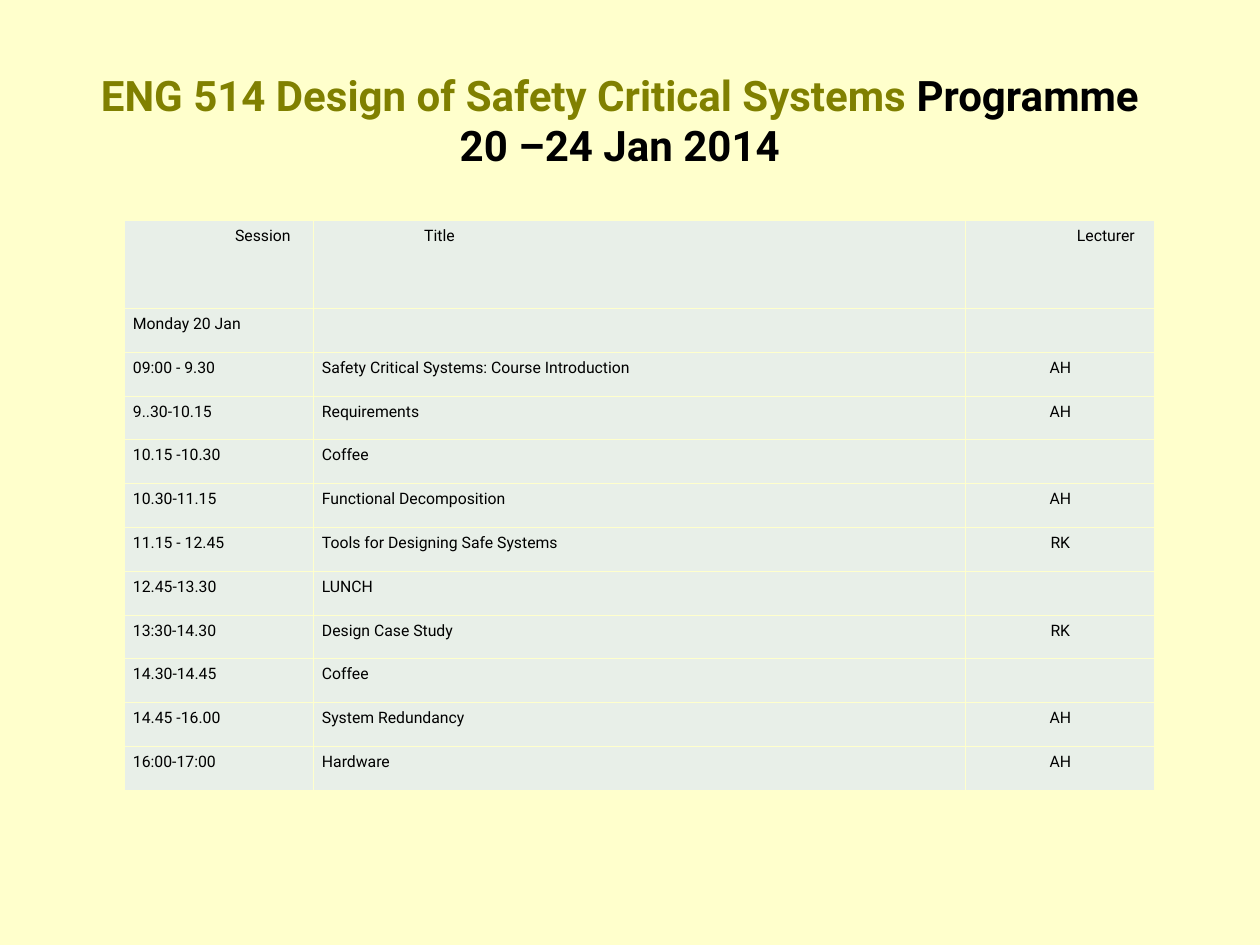
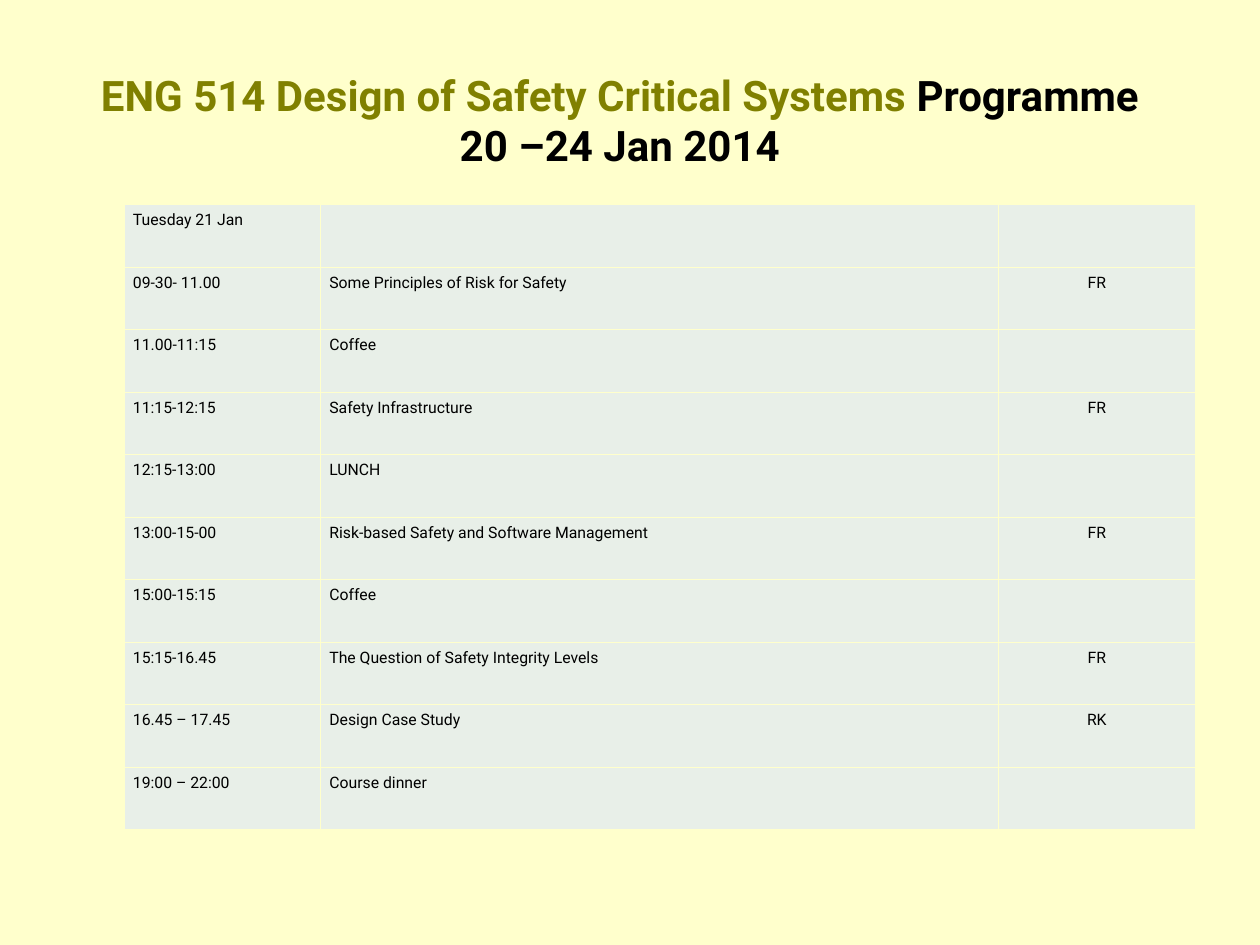
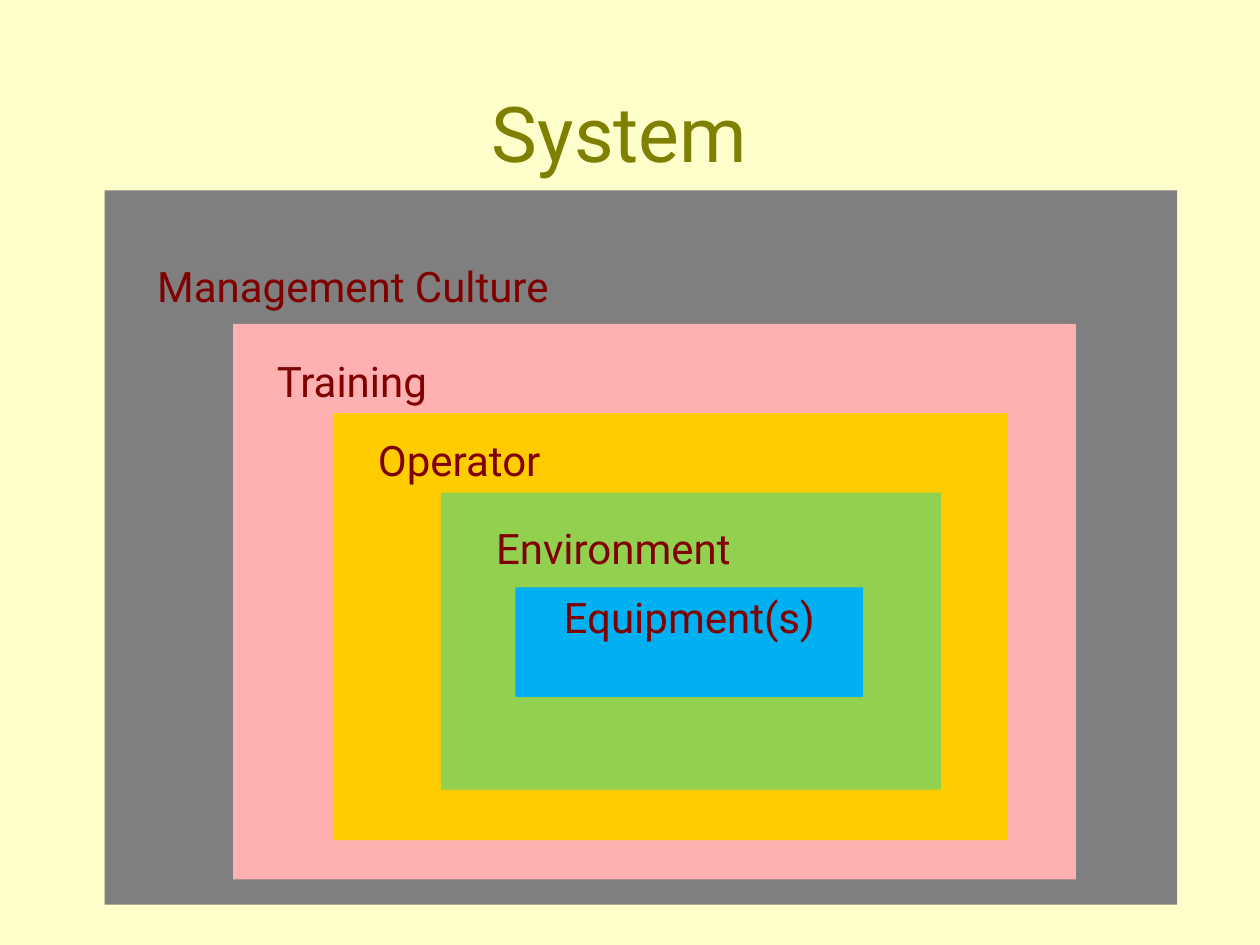
from lxml.etree import SubElement
from pptx import Presentation
from pptx.dml.color import RGBColor
from pptx.enum.shapes import MSO_SHAPE
from pptx.enum.text import MSO_ANCHOR, PP_ALIGN
from pptx.oxml.ns import qn
from pptx.util import Cm, Pt

FONT = "Roboto"
CREAM = RGBColor(0xFF, 0xFF, 0xCC)
OLIVE = RGBColor(0x80, 0x80, 0x00)
BLACK = RGBColor(0x00, 0x00, 0x00)
MAROON = RGBColor(0x80, 0x00, 0x00)
CELL_FILL = RGBColor(0xE8, 0xEF, 0xE8)
GRAY = RGBColor(0x7F, 0x7F, 0x7F)
PINK = RGBColor(0xFF, 0xB0, 0xB0)
GOLD = RGBColor(0xFF, 0xCC, 0x00)
GREEN = RGBColor(0x92, 0xD0, 0x50)
BLUE = RGBColor(0x00, 0xB0, 0xF0)

PROGRAMME_TITLE = [
    ("ENG 514 Design of Safety Critical Systems ", OLIVE),
    ("Programme 20 –24 Jan 2014", BLACK),
]

MONDAY = [
    ("Session", "Title", "Lecturer"),
    ("Monday 20 Jan", "", ""),
    ("09:00 - 9.30", "Safety Critical Systems: Course Introduction", "AH"),
    ("9..30-10.15", "Requirements", "AH"),
    ("10.15 -10.30", "Coffee", ""),
    ("10.30-11.15", "Functional Decomposition", "AH"),
    ("11.15 - 12.45", "Tools for Designing Safe Systems", "RK"),
    ("12.45-13.30", "LUNCH", ""),
    ("13:30-14.30", "Design Case Study", "RK"),
    ("14.30-14.45", "Coffee", ""),
    ("14.45 -16.00", "System Redundancy", "AH"),
    ("16:00-17:00", "Hardware", "AH"),
]

TUESDAY = [
    ("Tuesday 21 Jan", "", ""),
    ("09-30- 11.00", "Some Principles of Risk for Safety", "FR"),
    ("11.00-11:15", "Coffee", ""),
    ("11:15-12:15", "Safety Infrastructure", "FR"),
    ("12:15-13:00", "LUNCH", ""),
    ("13:00-15-00", "Risk-based Safety and Software Management", "FR"),
    ("15:00-15:15", "Coffee", ""),
    ("15:15-16.45", "The Question of Safety Integrity Levels", "FR"),
    ("16.45 – 17.45", "Design Case Study", "RK"),
    ("19:00 – 22:00", "Course dinner", ""),
]

SYSTEM_LAYERS = [
    (GRAY, (2.11, 3.84, 21.62, 14.4)),
    (PINK, (4.7, 6.53, 16.99, 11.2)),
    (GOLD, (6.71, 8.33, 13.61, 8.61)),
    (GREEN, (8.89, 9.93, 10.08, 5.99)),
    (BLUE, (10.39, 11.84, 7.01, 2.21)),
]
LAYER_LABELS = [
    ("Environment", 9.75, 10.41, 8.28),
    ("Operator", 7.37, 8.64, 6.6),
    ("Training", 5.33, 7.04, 8.33),
    ("Management Culture", 2.92, 5.13, 11.38),
]
LABEL_HEIGHT = 1.27


def style_paragraph(paragraph, size, color=None, bold=False, align=PP_ALIGN.LEFT):
    paragraph.alignment = align
    paragraph.font.name = FONT
    paragraph.font.size = Pt(size)
    paragraph.font.bold = bold
    if color is not None:
        paragraph.font.color.rgb = color


def add_slide(presentation, title_runs, top, size, bold, anchor):
    slide = presentation.slides.add_slide(presentation.slide_layouts[6])
    slide.background.fill.solid()
    slide.background.fill.fore_color.rgb = CREAM
    title = slide.shapes.add_textbox(Cm(1.7), Cm(top), Cm(21.59), Cm(3.18))
    title.text_frame.word_wrap = True
    title.text_frame.vertical_anchor = anchor
    paragraph = title.text_frame.paragraphs[0]
    style_paragraph(paragraph, size, bold=bold, align=PP_ALIGN.CENTER)
    for text, color in title_runs:
        run = paragraph.add_run()
        run.text = text
        run.font.color.rgb = color
    return slide


def style_cell(cell):
    properties = cell._tc.get_or_add_tcPr()
    for side in ("a:lnL", "a:lnR", "a:lnT", "a:lnB"):
        line = SubElement(properties, qn(side), w=str(Pt(0.45)))
        fill = SubElement(line, qn("a:solidFill"))
        SubElement(fill, qn("a:srgbClr"), val=str(CREAM))
    cell.fill.solid()
    cell.fill.fore_color.rgb = CELL_FILL
    cell.margin_left = cell.margin_right = Cm(0.18)
    cell.margin_top = cell.margin_bottom = Cm(0.13)


def add_programme(presentation, sessions, top, height, column_widths, has_header=False):
    slide = add_slide(presentation, PROGRAMME_TITLE, 1.27, 24, True, MSO_ANCHOR.TOP)
    frame = slide.shapes.add_table(
        len(sessions), len(column_widths), Cm(2.5), Cm(top),
        Cm(sum(column_widths)), Cm(height))
    table = frame.table
    table.first_row = table.horz_banding = False
    for column, width in zip(table.columns, column_widths):
        column.width = Cm(width)
    unit = height / (len(sessions) + has_header)
    for row_index, session in enumerate(sessions):
        is_header = has_header and row_index == 0
        table.rows[row_index].height = Cm(unit * (2 if is_header else 1))
        for column_index, text in enumerate(session):
            cell = table.cell(row_index, column_index)
            style_cell(cell)
            cell.text = text
            paragraph = cell.text_frame.paragraphs[0]
            is_lecturer = column_index == 2 and not is_header
            style_paragraph(paragraph, 9, BLACK,
                            align=PP_ALIGN.CENTER if is_lecturer else PP_ALIGN.LEFT)
            if is_header:
                paragraph._p.get_or_add_pPr().set("marL", str(Cm(2.06)))
            if not text:
                paragraph._p.get_or_add_endParaRPr().set("sz", "900")


def add_system(presentation):
    slide = add_slide(presentation, [("System", OLIVE)], 1.07, 44, False, MSO_ANCHOR.MIDDLE)
    for color, box in SYSTEM_LAYERS:
        layer = slide.shapes.add_shape(MSO_SHAPE.RECTANGLE, *map(Cm, box))
        layer.shadow.inherit = False
        layer.fill.solid()
        layer.fill.fore_color.rgb = color
        layer.line.fill.background()
    equipment = layer.text_frame
    equipment.text = "Equipment(s)"
    equipment.word_wrap = True
    equipment.vertical_anchor = MSO_ANCHOR.TOP
    equipment.margin_left = equipment.margin_right = 0
    equipment.margin_top = equipment.margin_bottom = Cm(0.08)
    style_paragraph(equipment.paragraphs[0], 24, MAROON, align=PP_ALIGN.CENTER)
    for text, left, top, width in LAYER_LABELS:
        label = slide.shapes.add_textbox(Cm(left), Cm(top), Cm(width), Cm(LABEL_HEIGHT))
        label.text_frame.word_wrap = True
        label.text_frame.text = text
        style_paragraph(label.text_frame.paragraphs[0], 24, MAROON)


def main():
    presentation = Presentation()
    presentation.slide_width = Cm(25.4)
    presentation.slide_height = Cm(19.05)
    add_programme(presentation, MONDAY, 4.45, 11.48, (3.81, 13.16, 3.81), has_header=True)
    add_programme(presentation, TUESDAY, 4.12, 12.6, (3.96, 13.67, 3.96))
    add_system(presentation)
    presentation.save("out.pptx")


if __name__ == "__main__":
    main()
